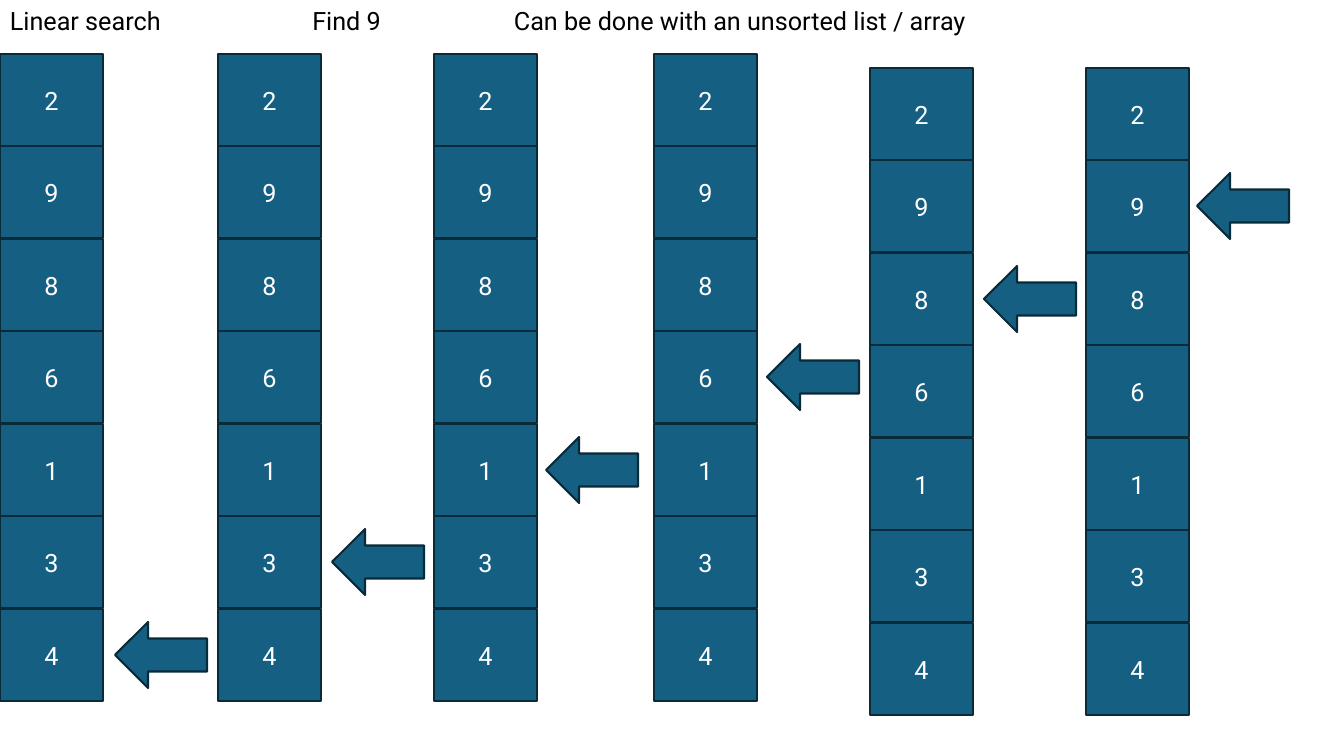
from lxml.etree import SubElement
from pptx import Presentation
from pptx.dml.color import RGBColor
from pptx.enum.shapes import MSO_SHAPE
from pptx.enum.text import MSO_ANCHOR, MSO_AUTO_SIZE, PP_ALIGN
from pptx.oxml.ns import qn
from pptx.util import Emu, Inches, Pt

COLORS = {"cell": "156082", "edge": "092A39", "number": "FFFFFF", "heading": "000000"}
NUMBERS = [2, 9, 8, 6, 1, 3, 4]
COLUMN_HEIGHT = 647
CELL_WIDTH, CELL_HEIGHT = 103, 92
ARROW_WIDTH = 66
STEPS = [
    (0, 54, 128),
    (218, 54, 345),
    (434, 54, 559),
    (654, 54, 780),
    (870, 68, 997),
    (1086, 68, 1210),
]


def px(length):
    return Emu(round(length * 914400 / 100.8))


def add_block(kind, left, top, width):
    block = page.shapes.add_shape(kind, px(left), px(top), px(width), px(CELL_HEIGHT))
    block.shadow.inherit = False
    block.fill.solid()
    block.fill.fore_color.rgb = RGBColor.from_string(COLORS["cell"])
    block.line.color.rgb = RGBColor.from_string(COLORS["edge"])
    block.line.width = Pt(1.5)
    return block


deck = Presentation()
deck.slide_width = px(1344)
deck.slide_height = px(756)
page = deck.slides.add_slide(deck.slide_layouts[6])

for step, (column_left, column_top, arrow_left) in enumerate(STEPS):
    row_tops = [column_top + round(row * COLUMN_HEIGHT / len(NUMBERS)) for row in range(len(NUMBERS))]
    for number, row_top in zip(NUMBERS, row_tops):
        cell = add_block(MSO_SHAPE.RECTANGLE, column_left, row_top, CELL_WIDTH)
        cell.text_frame.vertical_anchor = MSO_ANCHOR.MIDDLE
        paragraph = cell.text_frame.paragraphs[0]
        paragraph.text = str(number)
        paragraph.alignment = PP_ALIGN.CENTER
        paragraph.font.name = "Roboto"
        paragraph.font.size = Pt(18)
        paragraph.font.color.rgb = RGBColor.from_string(COLORS["number"])
    checked_row = len(NUMBERS) - 1 - step
    arrow = add_block(MSO_SHAPE.DOWN_ARROW, arrow_left, row_tops[checked_row], ARROW_WIDTH)
    arrow.rotation = 90

heading = page.shapes.add_textbox(px(0), px(0), px(1168), px(40))
heading.text_frame.word_wrap = True
heading.text_frame.auto_size = MSO_AUTO_SIZE.SHAPE_TO_FIT_TEXT
paragraph = heading.text_frame.paragraphs[0]
paragraph.text = "Linear search\t\tFind 9\t\tCan be done with an unsorted list / array"
tab_list = SubElement(paragraph._p.get_or_add_pPr(), qn("a:tabLst"))
for stop in range(2, 6):
    SubElement(tab_list, qn("a:tab"), pos=str(Inches(stop)), algn="l")
paragraph.font.name = "Roboto"
paragraph.font.size = Pt(18)
paragraph.font.color.rgb = RGBColor.from_string(COLORS["heading"])

deck.save("out.pptx")
